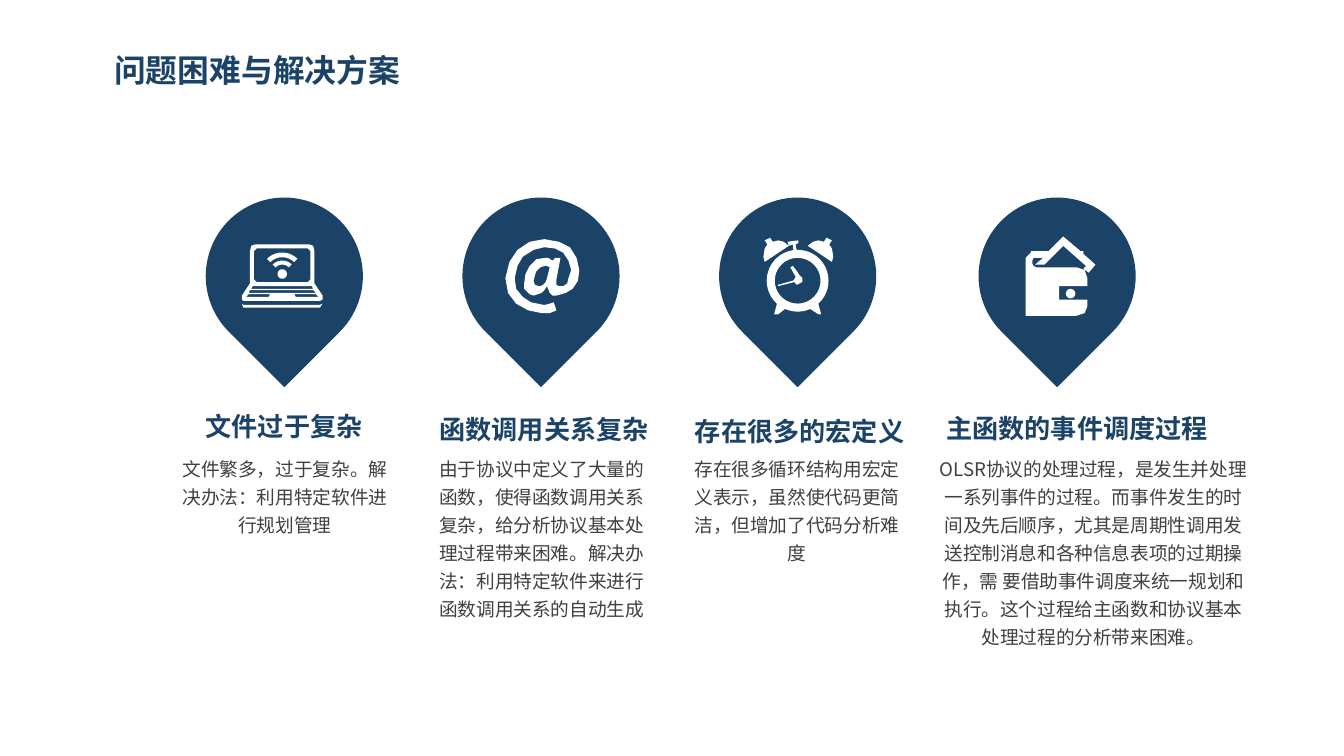
from dataclasses import dataclass
from math import cos, radians, sin

from lxml import etree
from pptx import Presentation
from pptx.dml.color import RGBColor
from pptx.enum.shapes import MSO_SHAPE
from pptx.enum.text import MSO_AUTO_SIZE, PP_ALIGN
from pptx.oxml.ns import qn
from pptx.util import Pt

TEARDROP = MSO_SHAPE.TEAR
FIT_SHAPE = MSO_AUTO_SIZE.SHAPE_TO_FIT_TEXT
LEFT, CENTER = PP_ALIGN.LEFT, PP_ALIGN.CENTER

NAVY = RGBColor(0x1B, 0x43, 0x67)
GRAY = RGBColor(0x40, 0x40, 0x40)
WHITE = RGBColor(0xFF, 0xFF, 0xFF)
FONT = "Noto Sans CJK SC"

# Lengths in points
PIN_TOP, PIN_SIZE = 105.8, 84.2
BODY_TOP = 239.8
HEADING_HEIGHT = 22.3
ICON_UNIT = 0.72  # one icon grid step

Contour = list[tuple[float, float]]


@dataclass
class Topic:
    pin_left: float
    icon: list[Contour]
    heading: str
    heading_box: tuple[float, float, float]  # left, top, width
    body: str
    body_box: tuple[float, float, float]  # left, width, height


# Icon geometry, on a grid that starts at the top left of the pin
def arc(x: float, y: float, radius: float, start: int, end: int) -> Contour:
    steps = max(8, abs(end - start) // 8)
    angles = [radians(start + (end - start) * i / steps) for i in range(steps + 1)]
    return [(x + radius * cos(a), y + radius * sin(a)) for a in angles]


def circle(x: float, y: float, radius: float) -> Contour:
    return arc(x, y, radius, 0, 360)


def wave(x: float, y: float, inner: float, outer: float) -> Contour:
    return arc(x, y, outer, 225, 315) + arc(x, y, inner, 315, 225)


LAPTOP = [
    # Case, screen and base
    [(87, 73), (81, 64), (81, 40), (80, 36), (77, 35), (37, 35), (34, 36),
     (33, 40), (33, 64), (27, 73), (27, 76), (28, 77), (85, 77), (87, 76)],
    [(36, 40), (38, 38), (76, 38), (78, 40), (78, 61), (76, 63), (38, 63), (36, 61)],
    [(27, 79), (28, 80), (85, 80), (87, 79), (85, 82), (28, 82)],
    # Keyboard
    [(35, 66), (79, 66), (80, 68), (34, 68)],
    [(33, 69), (80, 69), (82, 71), (32, 71)],
    [(32, 72), (48, 72), (47, 74), (30, 74)],
    [(66, 72), (82, 72), (84, 74), (67, 74)],
    # Wireless signal
    circle(57, 57, 3.5), wave(57, 57, 7, 10), wave(57, 57, 12.5, 16),
]

AT_SIGN = [
    [(69, 45), (73, 45), (70, 61), (70, 65), (72, 66), (75, 66), (78, 64), (79, 60),
     (81, 54), (79, 47), (75, 41), (69, 38), (61, 37), (53, 39), (45, 44), (41, 51),
     (39, 60), (40, 68), (45, 74), (51, 78), (61, 80), (65, 79), (68, 78), (70, 84),
     (65, 86), (59, 86), (49, 84), (40, 79), (34, 71), (32, 60), (35, 48), (41, 39),
     (50, 33), (61, 31), (72, 33), (80, 37), (85, 45), (87, 54), (86, 62), (82, 68),
     (77, 71), (70, 73), (67, 73), (65, 71), (63, 66), (61, 69), (59, 71), (56, 72),
     (53, 73), (50, 72), (48, 70), (46, 68), (46, 64), (47, 57), (50, 51), (55, 46),
     (61, 45), (64, 45), (67, 47)],
    [(65, 52), (63, 51), (61, 51), (58, 52), (55, 55), (54, 58), (53, 62), (54, 65),
     (57, 66), (58, 66), (60, 65), (62, 63), (63, 60)],
]

BELL = [(78, 33), (74, 32), (70, 33), (66, 36), (84, 48), (85, 44),
        (84, 38), (82, 35), (84, 32), (80, 30)]
CLOCK = [
    # Case with stem and feet
    arc(58.5, 62, 23, 132, 262)
    + [(55, 35), (52, 36), (51, 33), (59, 32), (59, 34), (57, 35)]
    + arc(58.5, 62, 23, 268, 408) + [(76, 87), (74, 87)]
    + arc(58.5, 62, 23, 66, 114) + [(44, 87), (41, 87)],
    circle(58.5, 62, 17),
    BELL, [(118 - x, y) for x, y in BELL],
    # Hands
    [(56, 61), (55, 62), (44, 65), (44, 66), (56, 63), (58, 65), (62, 63),
     (62, 60), (60, 58), (58, 55), (55, 51), (53, 52), (57, 59)],
]

WALLET = [
    [(43, 52), (73, 52), (79, 54), (81, 60), (81, 66), (60, 66), (60, 76), (81, 76),
     (81, 81), (79, 86), (73, 88), (35, 88), (35, 45), (39, 41), (39, 40), (52, 40),
     (63, 29), (76, 40), (78, 40), (78, 42), (87, 50), (82, 56), (78, 53), (80, 51),
     (63, 36), (49, 50), (42, 50), (48, 45), (41, 45), (40, 47), (40, 49), (41, 51)],
    circle(68.5, 71.5, 3.5),
]

TOPICS = [
    Topic(110.2, LAPTOP, "文件过于复杂", (104.4, 217.4, 95.8),
          "文件繁多，过于复杂。解决办法：利用特定软件进行规划管理", (90.7, 123.8, 51.1)),
    Topic(247.7, AT_SIGN, "函数调用关系复杂", (229.7, 218.9, 123.8),
          "由于协议中定义了大量的函数，使得函数调用关系复杂，给分析协议基本处理过程带来困难。"
          "解决办法：利用特定软件来进行函数调用关系的自动生成", (228.2, 123.8, 96.5)),
    Topic(385.2, CLOCK, "存在很多的宏定义", (366.5, 219.6, 123.8),
          "存在很多循环结构用宏定义表示，虽然使代码更简洁，但增加了代码分析难度",
          (365, 123.8, 66.2)),
    Topic(524.2, WALLET, "主函数的事件调度过程", (501.1, 218.2, 151.9),
          "OLSR协议的处理过程，是发生并处理一系列事件的过程。而事件发生的时 间及先后顺序，"
          "尤其是周期性调用发送控制消息和各种信息表项的过期操作，需 要借助事件调度来统一规划和执行。"
          "这个过程给主函数和协议基本处理过程的分析带来困难。", (496.8, 177.8, 111.6)),
]


def paint(shape, color: RGBColor) -> None:
    shape.shadow.inherit = False
    shape.fill.solid()
    shape.fill.fore_color.rgb = color
    shape.line.fill.background()


def draw_pin(page, topic: Topic) -> None:
    group = page.shapes.add_group_shape()
    pin = group.shapes.add_shape(
        TEARDROP, Pt(topic.pin_left), Pt(PIN_TOP), Pt(PIN_SIZE), Pt(PIN_SIZE))
    pin.rotation = 135
    paint(pin, NAVY)

    outlines = [[(Pt(topic.pin_left + x * ICON_UNIT), Pt(PIN_TOP + y * ICON_UNIT))
                 for x, y in contour] for contour in topic.icon]
    builder = group.shapes.build_freeform(*outlines[0][0])
    for outline in outlines:
        builder.move_to(*outline[0])
        builder.add_line_segments(outline[1:], close=True)
    paint(builder.convert_to_shape(), WHITE)


def add_text(page, text: str, *, left: float, top: float, width: float, height: float,
             size: float, color: RGBColor = NAVY, bold: bool = False, align=CENTER,
             wrap: bool = True, spacing: float | None = None) -> None:
    box = page.shapes.add_textbox(Pt(left), Pt(top), Pt(width), Pt(height))
    frame = box.text_frame
    frame.word_wrap = wrap
    frame.auto_size = FIT_SHAPE
    frame.margin_left = frame.margin_right = Pt(5)
    frame.margin_top = frame.margin_bottom = Pt(2.7)
    para = frame.paragraphs[0]
    para.alignment = align
    if spacing:
        para.line_spacing = Pt(spacing)
    span = para.add_run()
    span.text = text
    span.font.name, span.font.size, span.font.bold = FONT, Pt(size), bold
    span.font.color.rgb = color
    # East Asian typeface
    etree.SubElement(span.font._element, qn("a:ea")).set("typeface", FONT)


def main() -> None:
    deck = Presentation()
    deck.slide_width, deck.slide_height = Pt(720), Pt(405)
    page = deck.slides.add_slide(deck.slide_layouts[6])

    # Pins with icons
    for topic in TOPICS:
        draw_pin(page, topic)

    # Title
    add_text(page, "问题困难与解决方案", left=56.2, top=24.5, width=177.8, height=25.9,
             size=17, bold=True, align=LEFT)

    # Headings and descriptions
    for topic in TOPICS:
        left, top, width = topic.heading_box
        add_text(page, topic.heading, left=left, top=top, width=width,
                 height=HEADING_HEIGHT, size=14, bold=True, wrap=False)
        left, width, height = topic.body_box
        add_text(page, topic.body, left=left, top=BODY_TOP, width=width,
                 height=height, size=10, color=GRAY, spacing=15)

    deck.save("out.pptx")


if __name__ == "__main__":
    main()
